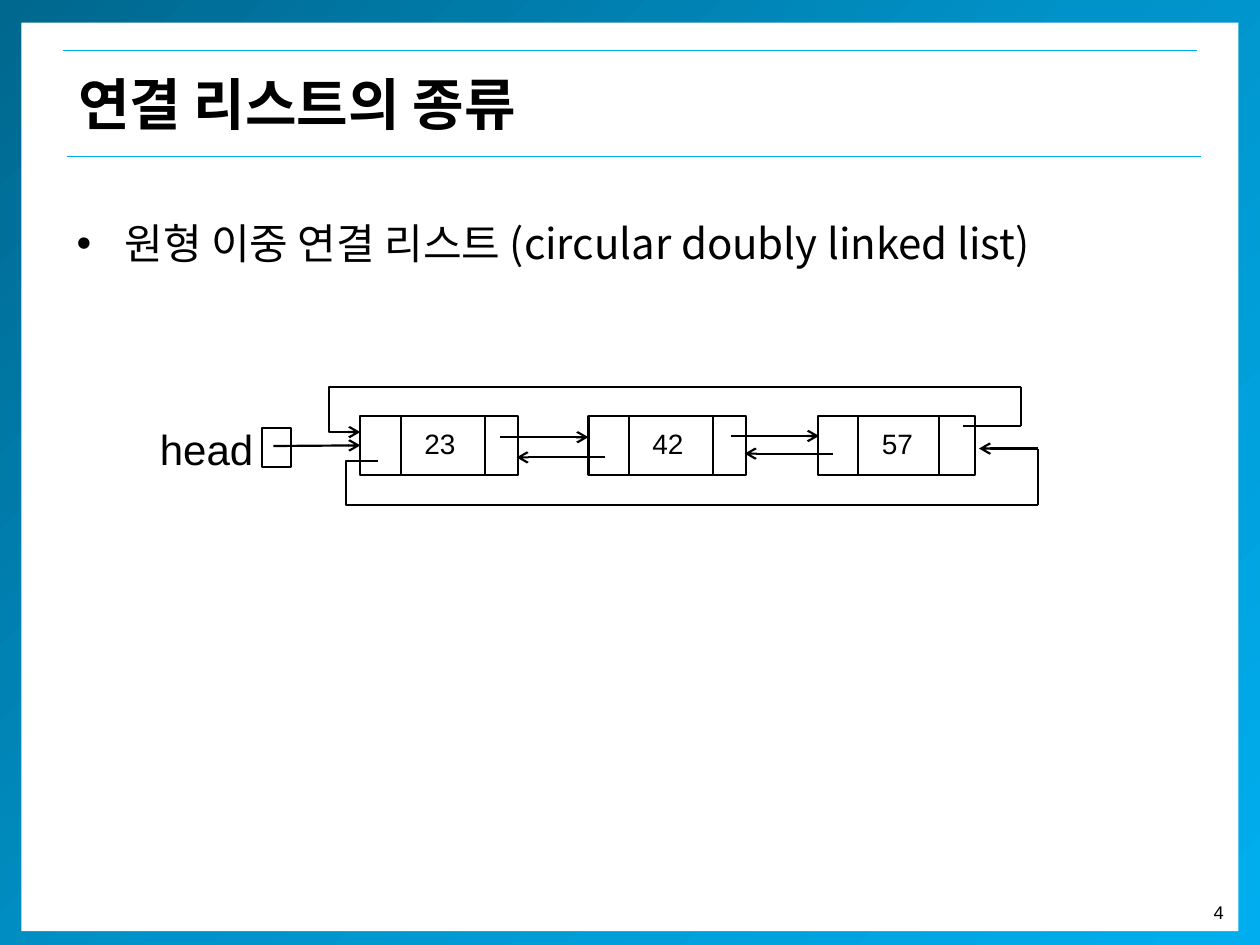
"""Build a slide that shows a circular doubly linked list."""
import copy
import pptx
import pptx.dml.color
import pptx.enum.shapes
import pptx.enum.text
import pptx.oxml
import pptx.oxml.ns
import pptx.util
import lxml.etree

Inches = pptx.util.Inches
Pt = pptx.util.Pt
Align = pptx.enum.text.PP_ALIGN
Kind = pptx.enum.shapes.MSO_CONNECTOR
qn = pptx.oxml.ns.qn

HUES = {"ink": "000000", "paper": "FFFFFF", "rule": "00AEEF",
        "deep": "00678E", "mid": "0093C9"}
SANS, HANGUL = "Arial", "Noto Sans CJK KR"


def tint(name):
    return pptx.dml.color.RGBColor.from_string(HUES[name])


class Page:
    def __init__(self, deck):
        self.slide = deck.slides.add_slide(deck.slide_layouts[5])
        self.shapes = self.slide.shapes
        self.width = 1.25

    def fill_text(self, frame, text, size, font=SANS, bold=False, align=Align.LEFT):
        part = frame.paragraphs[0]
        part.alignment = align
        run = part.add_run()
        run.text = text
        run.font.size, run.font.name, run.font.bold = Pt(size), font, bold
        run.font.color.rgb = tint("ink")
        if font == HANGUL:
            east = lxml.etree.Element(qn("a:ea"), typeface=font)
            run.font._element.find(qn("a:latin")).addnext(east)
        return part

    def title(self, text, box):
        shape = self.shapes.title
        root = shape._element
        root.getparent().append(root)
        shape.left, shape.top, shape.width, shape.height = map(Inches, box)
        shape.text_frame.vertical_anchor = pptx.enum.text.MSO_ANCHOR.MIDDLE
        self.fill_text(shape.text_frame, text, 32, HANGUL, True)

    def label(self, text, box, size, align=Align.LEFT):
        frame = self.shapes.add_textbox(*map(Inches, box)).text_frame
        frame.word_wrap = False
        self.fill_text(frame, text, size, align=align)

    def bullet(self, text, box):
        frame = self.shapes.add_textbox(*map(Inches, box)).text_frame
        frame.word_wrap = True
        part = self.fill_text(frame, text, 24, HANGUL)
        part.space_before = Pt(4.8)
        props = part._p.get_or_add_pPr()
        props.set("marL", str(Inches(0.38)))
        props.set("indent", str(-Inches(0.38)))
        lxml.etree.SubElement(props, qn("a:buFont"), typeface=SANS)
        lxml.etree.SubElement(props, qn("a:buChar"), char="•")

    def rect(self, box, fill=None):
        shape = self.shapes.add_shape(
            pptx.enum.shapes.MSO_SHAPE.RECTANGLE, *map(Inches, box))
        shape.shadow.inherit = False
        if fill:
            shape.fill.solid()
            shape.fill.fore_color.rgb = tint(fill)
            shape.line.fill.background()
        else:
            shape.fill.background()
            shape.line.color.rgb = tint("ink")
            shape.line.width = Pt(self.width)
        return shape

    def blend(self, box, names):
        fill = self.rect(box, names[0]).fill
        fill.gradient()
        fill.gradient_angle = 315
        last = fill.gradient_stops[1]._gs
        last.addprevious(copy.deepcopy(last))
        for rank, (stop, name) in enumerate(zip(fill.gradient_stops, names)):
            stop.position = rank / 2
            stop.color.rgb = tint(name)

    def line(self, start, end, arrow=None, hue="ink", width=None, bend=None):
        kind = Kind.STRAIGHT if bend is None else Kind.ELBOW
        link = self.shapes.add_connector(kind, *map(Inches, start + end))
        link.line.color.rgb = tint(hue)
        link.line.width = Pt(width or self.width)
        props = link._element.spPr
        lxml.etree.SubElement(props, qn("a:effectLst"))
        if arrow:
            lxml.etree.SubElement(props.find(qn("a:ln")), qn("a:" + arrow), type="arrow")
        if bend is not None:
            guide = props.find(qn("a:prstGeom")).find(qn("a:avLst"))
            lxml.etree.SubElement(guide, qn("a:gd"), name="adj1",
                                  fmla=f"val {round(bend * 100000)}")
        return link

    def node(self, left, text, split):
        top, high = 3.3, 0.47
        cell = self.rect((left, top, 1.25, high))
        for x in (left + 0.32, left + split):
            self.line((x, top), (x, top + high))
        self.label(text, (left + 0.41, 3.34, 0.45, 0.37), 16)
        return cell


def main():
    deck = pptx.Presentation()
    deck.slide_width, deck.slide_height = Inches(10), Inches(7.5)
    page = Page(deck)

    page.blend((0, -0.04, 10, 7.59), ("deep", "mid", "rule"))
    page.rect((0.17, 0.18, 9.66, 7.21), "paper")
    page.label("4", (9.42, 7.1, 0.39, 0.28), 10.5, Align.RIGHT)
    for x, y in ((0.5, 0.4), (0.53, 1.24)):
        page.line((x, y), (x + 9, y), hue="rule", width=0.75)
    page.title("연결 리스트의 종류", (0.52, 0.4, 9.07, 0.84))
    page.bullet("원형 이중 연결 리스트 (circular doubly linked list)",
                (0.51, 1.68, 8.86, 0.62))

    nodes = [page.node(*spec_row) for spec_row in (
        (2.86, "23", 0.99), (4.67, "42", 0.99), (6.49, "57", 0.96))]
    for x, y, step in ((3.97, 3.47, 0.7), (5.8, 3.46, 0.7),
                       (4.8, 3.63, -0.7), (6.61, 3.6, -0.7)):
        page.line((x, y), (x + step, y), "tailEnd")

    page.label("head", (1.17, 3.31, 0.95, 0.51), 24)
    page.rect((2.08, 3.4, 0.23, 0.31))
    first = page.line((2.17, 3.54), (2.86, 3.54), "tailEnd")
    first.end_connect(nodes[0], 1)

    page.line((3, 3.66), (8.24, 4.01), bend=-0.048)
    page.line((8.24, 4.01), (8.24, 3.56))
    page.line((8.24, 3.56), (7.77, 3.56), "tailEnd")
    page.line((2.86, 3.43), (8.1, 3.07), "headEnd", bend=-0.048)
    page.line((8.1, 3.07), (8.1, 3.38))
    page.line((8.1, 3.38), (7.64, 3.38))

    deck.save("out.pptx")


if __name__ == "__main__":
    main()
